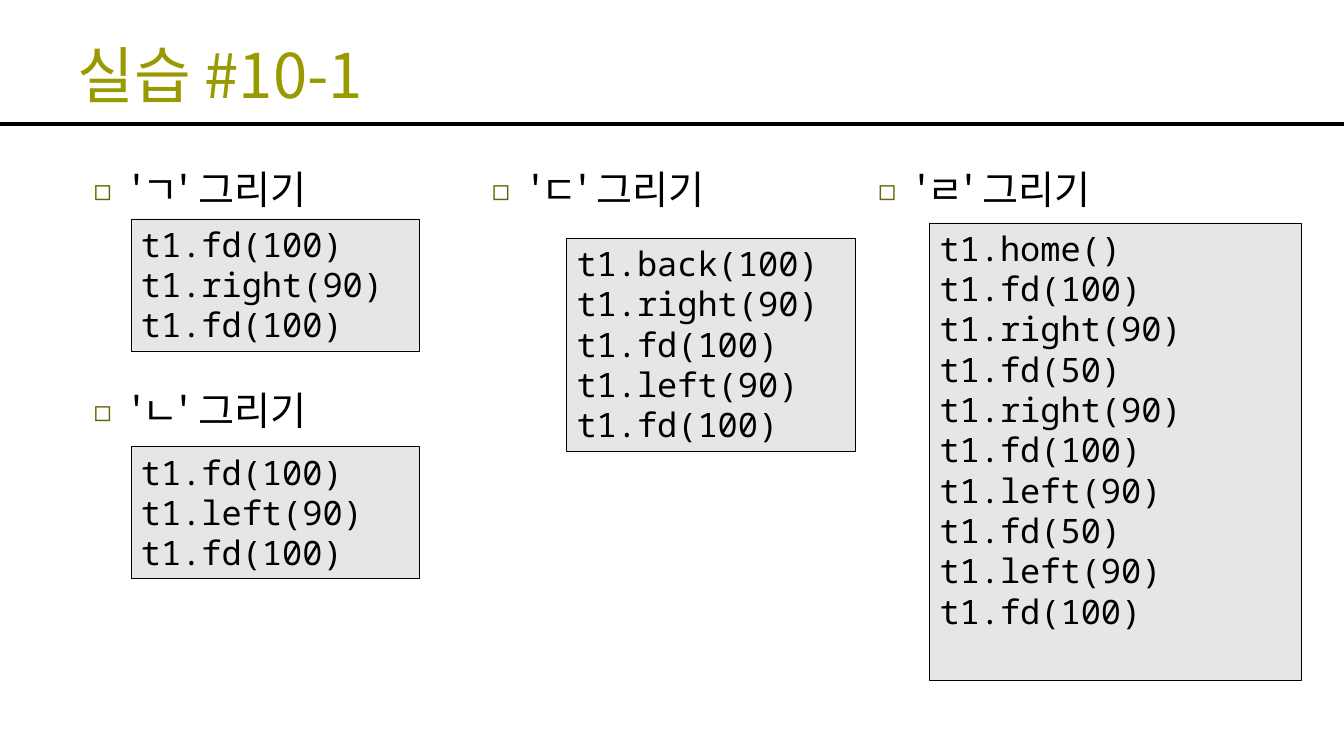
from dataclasses import dataclass

from lxml import etree
from pptx import Presentation
from pptx.dml.color import RGBColor
from pptx.enum.shapes import MSO_CONNECTOR, MSO_SHAPE
from pptx.enum.text import MSO_ANCHOR, MSO_AUTO_SIZE, PP_ALIGN
from pptx.oxml.ns import qn
from pptx.util import Inches, Pt

RECTANGLE = MSO_SHAPE.RECTANGLE
STRAIGHT = MSO_CONNECTOR.STRAIGHT
TOP, BOTTOM = MSO_ANCHOR.TOP, MSO_ANCHOR.BOTTOM
FIXED = MSO_AUTO_SIZE.NONE
LEFT = PP_ALIGN.LEFT


@dataclass(frozen=True)
class Theme:
    ink: str = "000000"
    title: str = "999900"
    bullet: str = "666600"
    panel: str = "E6E6E6"
    text_font: str = "Noto Sans CJK KR"
    code_font: str = "Noto Sans Mono"
    title_size: int = 44
    heading_size: int = 28
    code_size: int = 24
    rule_width: float = 3
    border_width: float = 0.25


@dataclass(frozen=True)
class Exercise:
    letter: str
    heading_left: float
    heading_top: float
    code_left: float
    code_top: float
    code_width: float
    code_height: float
    code: tuple[str, ...]


THEME = Theme()
SLIDE_WIDTH, SLIDE_HEIGHT = 13.33, 7.5
RULE_TOP = 1.23
HEADING_WIDTH, HEADING_HEIGHT = 4.05, 0.6
HEADING_INDENT = 0.38
FIRST_ROW, SECOND_ROW = 1.59, 3.78
NARROW, WIDE = 2.86, 3.69

EXERCISES = (
    Exercise("ㄱ", 0.83, FIRST_ROW, 1.3, 2.17, NARROW, 1.31,
             ("t1.fd(100)", "t1.right(90)", "t1.fd(100)")),
    Exercise("ㄴ", 0.83, SECOND_ROW, 1.3, 4.43, NARROW, 1.31,
             ("t1.fd(100)", "t1.left(90)", "t1.fd(100)")),
    Exercise("ㄷ", 4.78, FIRST_ROW, 5.62, 2.36, NARROW, 2.12,
             ("t1.back(100)", "t1.right(90)", "t1.fd(100)", "t1.left(90)",
              "t1.fd(100)")),
    Exercise("ㄹ", 8.61, FIRST_ROW, 9.22, 2.21, WIDE, 4.54,
             ("t1.home()", "t1.fd(100)", "t1.right(90)", "t1.fd(50)",
              "t1.right(90)", "t1.fd(100)", "t1.left(90)", "t1.fd(50)",
              "t1.left(90)", "t1.fd(100)")),
)


def color(value: str) -> RGBColor:
    return RGBColor.from_string(value)


def apply(target, values: dict) -> None:
    for name, value in values.items():
        setattr(target, name, value)


def write(shape, lines: tuple[str, ...], font: str, size: int, ink: str,
          anchor=TOP) -> None:
    frame = shape.text_frame
    apply(frame, {"word_wrap": True, "auto_size": FIXED, "vertical_anchor": anchor})
    for number, line in enumerate(lines):
        paragraph = frame.paragraphs[0] if number == 0 else frame.add_paragraph()
        paragraph.alignment = LEFT
        run = paragraph.add_run()
        run.text = line
        apply(run.font, {"name": font, "size": Pt(size)})
        run.font.color.rgb = color(ink)
        east_asian = etree.SubElement(run.font._element, qn("a:ea"))
        east_asian.set("typeface", font)


def add_bullet(paragraph) -> None:
    properties = paragraph._p.get_or_add_pPr()
    indent = Inches(HEADING_INDENT)
    properties.set("marL", str(indent))
    properties.set("indent", str(-indent))
    space = etree.SubElement(properties, qn("a:spcBef"))
    etree.SubElement(space, qn("a:spcPct"), val="20000")
    tint = etree.SubElement(properties, qn("a:buClr"))
    etree.SubElement(tint, qn("a:srgbClr"), val=THEME.bullet)
    etree.SubElement(properties, qn("a:buSzPct"), val="75000")
    etree.SubElement(properties, qn("a:buFont"), typeface=THEME.text_font)
    etree.SubElement(properties, qn("a:buChar"), char="◻")


def add_title(slide) -> None:
    title = slide.shapes.add_textbox(Inches(0.67), Inches(0.3), Inches(12), Inches(0.85))
    write(title, ("실습 #10-1",), THEME.text_font, THEME.title_size, THEME.title, BOTTOM)


def add_rule(slide) -> None:
    rule = slide.shapes.add_connector(
        STRAIGHT, 0, Inches(RULE_TOP), Inches(SLIDE_WIDTH), Inches(RULE_TOP))
    rule.line.color.rgb = color(THEME.ink)
    rule.line.width = Pt(THEME.rule_width)
    etree.SubElement(rule._element.spPr, qn("a:effectLst"))


def add_exercise(slide, exercise: Exercise) -> None:
    heading = slide.shapes.add_textbox(
        Inches(exercise.heading_left), Inches(exercise.heading_top),
        Inches(HEADING_WIDTH), Inches(HEADING_HEIGHT))
    write(heading, (f"'{exercise.letter}' 그리기",), THEME.text_font,
          THEME.heading_size, THEME.ink)
    add_bullet(heading.text_frame.paragraphs[0])

    panel = slide.shapes.add_shape(
        RECTANGLE, Inches(exercise.code_left), Inches(exercise.code_top),
        Inches(exercise.code_width), Inches(exercise.code_height))
    panel.shadow.inherit = False
    panel.fill.solid()
    panel.fill.fore_color.rgb = color(THEME.panel)
    panel.line.color.rgb = color(THEME.ink)
    panel.line.width = Pt(THEME.border_width)
    write(panel, exercise.code, THEME.code_font, THEME.code_size, THEME.ink)


presentation = Presentation()
apply(presentation, {"slide_width": Inches(SLIDE_WIDTH), "slide_height": Inches(SLIDE_HEIGHT)})
slide = presentation.slides.add_slide(presentation.slide_layouts[6])
add_rule(slide)
add_title(slide)
for exercise in EXERCISES:
    add_exercise(slide, exercise)
presentation.save("out.pptx")
